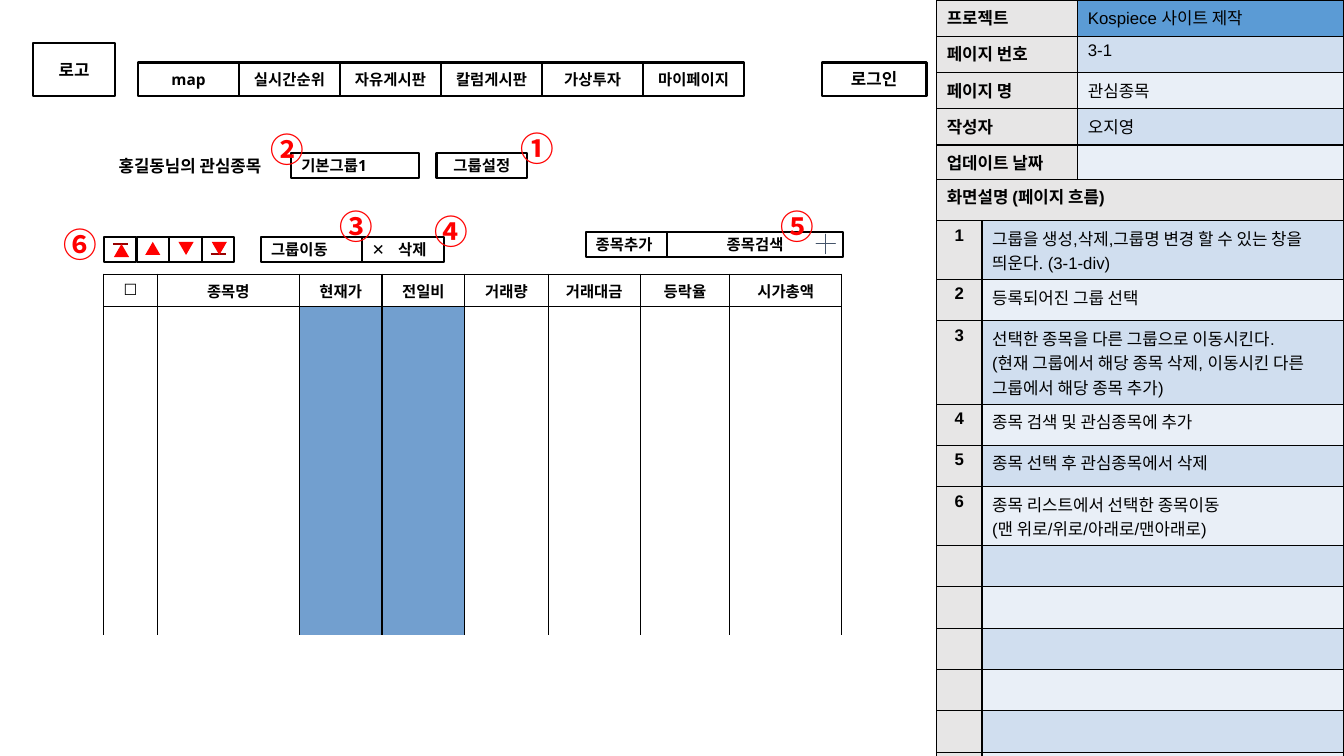
from lxml import etree
from pptx import Presentation
from pptx.dml.color import RGBColor
from pptx.enum.shapes import MSO_CONNECTOR, MSO_SHAPE
from pptx.enum.text import MSO_ANCHOR, PP_ALIGN
from pptx.oxml.ns import qn
from pptx.util import Inches, Pt

LEFT, CENTER = PP_ALIGN.LEFT, PP_ALIGN.CENTER
TOP, MIDDLE = MSO_ANCHOR.TOP, MSO_ANCHOR.MIDDLE
RECTANGLE, TRIANGLE = MSO_SHAPE.RECTANGLE, MSO_SHAPE.ISOSCELES_TRIANGLE
PLUS, STRAIGHT = MSO_SHAPE.MATH_PLUS, MSO_CONNECTOR.STRAIGHT
KOREAN = "Noto Sans CJK KR"
BLACK, WHITE, RED, GRAY = "000000", "FFFFFF", "FF0000", "E7E6E6"
BANDS = ["D0DEEF", "E9EFF7"]
color = RGBColor.from_string


def write(frame, text, size, font="Open Sans", bold=True, ink=BLACK, align=LEFT, tab=None):
    frame.word_wrap = True
    for index, line in enumerate(text.split("\n")):
        paragraph = frame.paragraphs[0] if index == 0 else frame.add_paragraph()
        paragraph.alignment = align
        if tab:
            stops = etree.SubElement(paragraph._p.get_or_add_pPr(), qn("a:tabLst"))
            etree.SubElement(stops, qn("a:tab"), pos=str(Inches(tab)), algn="l")
        run = paragraph.add_run()
        run.text = line
        for key, value in {"name": font, "size": Pt(size), "bold": bold}.items():
            setattr(run.font, key, value)
        run.font.color.rgb = color(ink)
        etree.SubElement(run.font._element, qn("a:ea"), typeface=KOREAN)


def fill_cell(cell, text, fill, size=12, bold=True, align=LEFT, anchor=TOP, bottom=True):
    properties = cell._tc.get_or_add_tcPr()
    for side in ("lnL", "lnR", "lnT", "lnB"):
        border = etree.SubElement(properties, qn(f"a:{side}"), w=str(Pt(1)))
        if side == "lnB" and not bottom:
            etree.SubElement(border, qn("a:noFill"))
        else:
            solid = etree.SubElement(border, qn("a:solidFill"))
            etree.SubElement(solid, qn("a:srgbClr"), val=BLACK)
    cell.fill.solid()
    cell.fill.fore_color.rgb = color(fill)
    cell.vertical_anchor = anchor
    if text:
        write(cell.text_frame, text, size, "Arial", bold, align=align)
    else:
        cell.margin_top = cell.margin_bottom = 0


presentation = Presentation()
presentation.slide_width, presentation.slide_height = Inches(13.33), Inches(7.5)
slide = presentation.slides.add_slide(presentation.slide_layouts[6])
shapes = slide.shapes

# Project details
details = [
    ("프로젝트", "Kospiece 사이트 제작"),
    ("페이지 번호", "3-1"),
    ("페이지 명", "관심종목"),
    ("작성자", "오지영"),
    ("업데이트 날짜", ""),
]
project = shapes.add_table(
    len(details), 2, Inches(9.29), 0, Inches(4.04), Inches(0.36 * len(details))).table
project.columns[0].width, project.columns[1].width = Inches(1.4), Inches(2.64)
for row, (label, value) in enumerate(details):
    fill_cell(project.cell(row, 0), label, GRAY)
    fill_cell(project.cell(row, 1), value, BANDS[(row + 1) % 2] if row else "5B9BD5", bold=False)

# Screen description
steps = [
    "그룹을 생성,삭제,그룹명 변경 할 수 있는 창을 띄운다. (3-1-div)",
    "등록되어진 그룹 선택",
    "선택한 종목을 다른 그룹으로 이동시킨다.\n"
    "(현재 그룹에서 해당 종목 삭제, 이동시킨 다른 그룹에서 해당 종목 추가)",
    "종목 검색 및 관심종목에 추가",
    "종목 선택 후 관심종목에서 삭제",
    "종목 리스트에서 선택한 종목이동\n(맨 위로/위로/아래로/맨아래로)",
]
STEP_ROWS = 13
description = shapes.add_table(
    STEP_ROWS + 1, 2, Inches(9.29), Inches(1.78), Inches(4.04), Inches(0.41 * (STEP_ROWS + 1))).table
description.columns[0].width, description.columns[1].width = Inches(0.45), Inches(3.59)
description.cell(0, 0).merge(description.cell(0, 1))
for column in range(2):
    fill_cell(description.cell(0, column), "" if column else "화면설명 (페이지 흐름)", GRAY)
for row in range(STEP_ROWS):
    used = row < len(steps)
    fill_cell(description.cell(row + 1, 0), str(row + 1) if used else "", GRAY, align=CENTER)
    fill_cell(description.cell(row + 1, 1), steps[row] if used else "", BANDS[row % 2], bold=False)

# Watchlist table, where the stock name spans two columns
headings = [("☐", 0.53), ("종목명", 0.58), ("", 0.83), ("현재가", 0.82), ("전일비", 0.82),
            ("거래량", 0.83), ("거래대금", 0.91), ("등락율", 0.89), ("시가총액", 1.11)]
watchlist = shapes.add_table(
    2, len(headings), Inches(1.03), Inches(2.72), Inches(7.32), Inches(3.53)).table
watchlist.rows[0].height, watchlist.rows[1].height = Inches(0.27), Inches(3.26)
for row in range(2):
    watchlist.cell(row, 1).merge(watchlist.cell(row, 2))
for column, (heading, width) in enumerate(headings):
    watchlist.columns[column].width = Inches(width)
    fill_cell(watchlist.cell(0, column), heading, WHITE, 11, align=CENTER, anchor=MIDDLE)
    fill_cell(watchlist.cell(1, column), "", "729FCF" if heading == "현재가" else WHITE, bottom=False)

# Outlined buttons: text, left, top, width, height, size, alignment
buttons = [
    ("로고", 0.33, 0.43, 0.81, 0.52, 12, CENTER),
    ("로그인", 8.15, 0.62, 1.04, 0.33, 12, CENTER),
    ("기본그룹1", 2.89, 1.52, 1.27, 0.25, 11, LEFT),
    ("그룹설정", 4.33, 1.52, 0.9, 0.25, 11, CENTER),
    ("그룹이동", 2.59, 2.35, 1, 0.25, 11, LEFT),
    ("✕\t삭제", 3.59, 2.35, 0.81, 0.25, 11, LEFT),
    ("종목추가", 5.81, 2.3, 0.9, 0.25, 11, LEFT),
    ("종목검색", 6.62, 2.3, 1.74, 0.25, 11, CENTER),
]
menu = ["map", "실시간순위", "자유게시판", "칼럼게시판", "가상투자", "마이페이지"]
buttons += [(item, 1.37 + 1.002 * i, 0.62, 1, 0.33, 11, CENTER) for i, item in enumerate(menu)]
buttons += [("", 1.03 + 0.325 * i, 2.35, 0.32, 0.25, 11, CENTER) for i in range(4)]
for text, left, top, width, height, size, align in buttons:
    button = shapes.add_shape(RECTANGLE, Inches(left), Inches(top), Inches(width), Inches(height))
    button.shadow.inherit = False
    button.line.color.rgb = color(BLACK)
    button.line.width = Pt(1.5)
    if text == "종목검색":
        button.fill.solid()
        button.fill.fore_color.rgb = color(WHITE)
    else:
        button.fill.background()
    if text:
        frame_format = {"margin_left": Inches(0.1), "margin_right": Inches(0.1),
                        "margin_top": 0, "margin_bottom": 0, "vertical_anchor": MIDDLE}
        for key, value in frame_format.items():
            setattr(button.text_frame, key, value)
        write(button.text_frame, text, size, align=align, tab=0.26 if "\t" in text else None)

# Move-to-top and move-to-bottom bars
for left, top in [(1.12, 2.42), (2.09, 2.52)]:
    bar = shapes.add_connector(STRAIGHT, Inches(left), Inches(top), Inches(left + 0.15), Inches(top))
    bar.line.color.rgb = color("980000")
    bar.line.width = Pt(1.5)
    etree.SubElement(bar._element.spPr, qn("a:effectLst"))

# Move arrows
for left, top, rotation in [(1.13, 2.42, 0), (1.44, 2.4, 0), (1.77, 2.4, 180), (2.1, 2.4, 180)]:
    arrow = shapes.add_shape(TRIANGLE, Inches(left), Inches(top), Inches(0.15), Inches(0.13))
    arrow.shadow.inherit = False
    arrow.rotation = rotation
    arrow.fill.solid()
    arrow.fill.fore_color.rgb = color(RED)
    arrow.line.fill.background()

# Add-stock plus sign
plus = shapes.add_shape(PLUS, Inches(8.06), Inches(2.29), Inches(0.26), Inches(0.26))
plus.shadow.inherit = False
plus.adjustments[0] = 0
plus.fill.solid()
plus.fill.fore_color.rgb = color(GRAY)
plus.line.color.rgb = color("44546A")
plus.line.width = Pt(0.75)

# Page heading
heading_box = shapes.add_textbox(Inches(0.95), Inches(1.46), Inches(1.87), Inches(0.37))
heading_box.text_frame.vertical_anchor = MIDDLE
write(heading_box.text_frame, "홍길동님의 관심종목", 12, align=CENTER)

# Numbered markers
markers = {"①": (5.06, 1.22), "②": (2.58, 1.23), "③": (3.27, 1.99),
           "④": (4.21, 2.04), "⑤": (7.64, 1.99), "⑥": (0.53, 2.17)}
for number, (left, top) in markers.items():
    marker = shapes.add_textbox(Inches(left), Inches(top), Inches(0.5), Inches(0.5))
    write(marker.text_frame, number, 24, KOREAN, ink=RED)

presentation.save("out.pptx")
